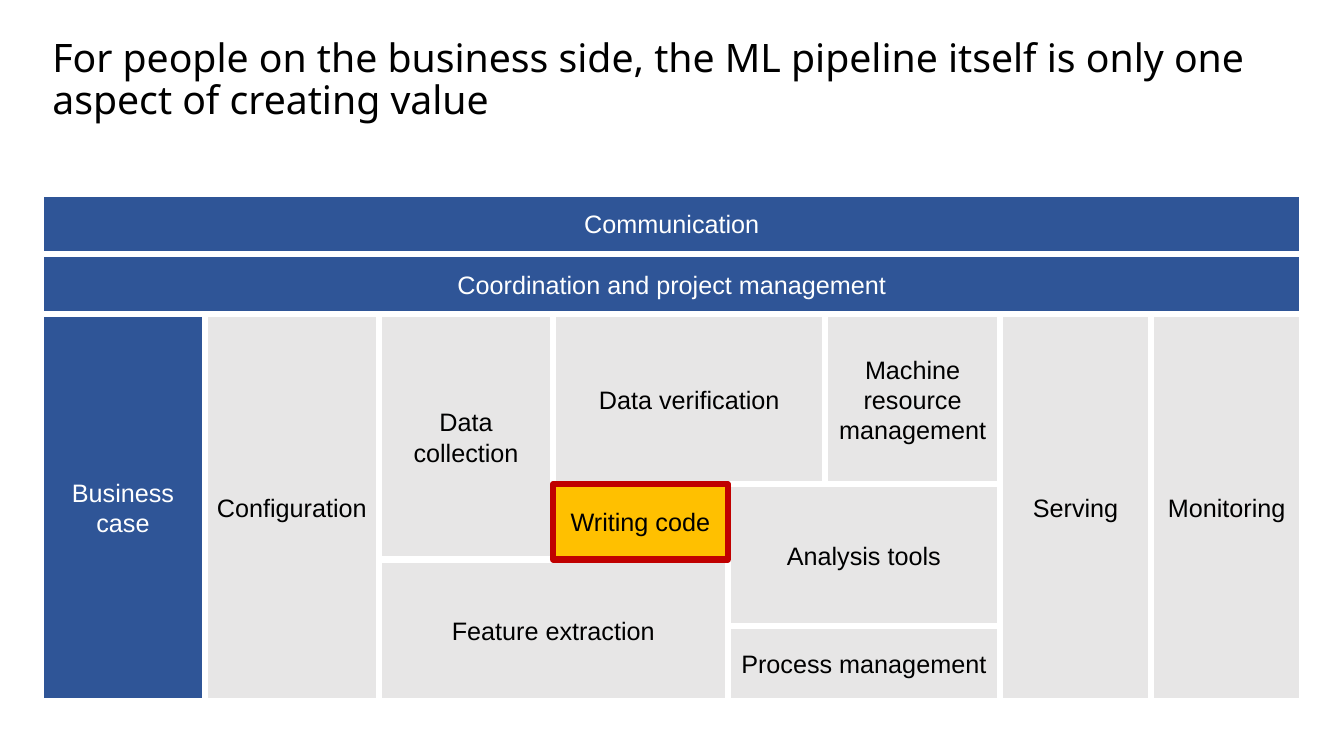
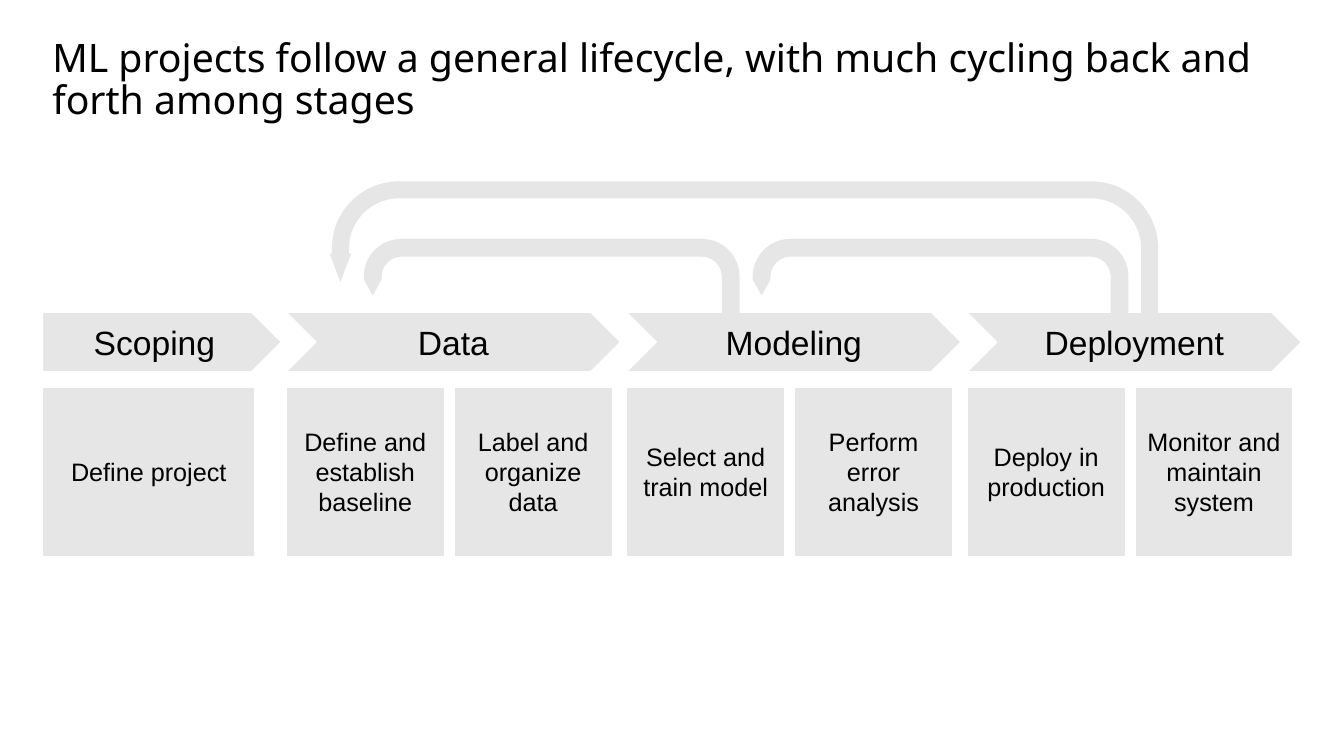
from pptx import Presentation
from pptx.dml.color import RGBColor
from pptx.enum.shapes import MSO_SHAPE as SHAPE
from pptx.enum.text import MSO_ANCHOR as ANCHOR, MSO_AUTO_SIZE as FIT, PP_ALIGN as ALIGN
from pptx.util import Cm, Pt

GREY, BLUE, GOLD, RED = "E7E6E6", "2F5597", "FFC000", "C00000"
WHITE, BLACK = "FFFFFF", "000000"
rgb = RGBColor.from_string

prs = Presentation()
prs.slide_width, prs.slide_height = Cm(33.87), Cm(19.05)


def add_slide(title):
    s = prs.slides.add_slide(prs.slide_layouts[6])
    tf = s.shapes.add_textbox(Cm(1.07), Cm(0.84), Cm(31.75), Cm(2.54)).text_frame
    tf.word_wrap = True
    tf.auto_size = FIT.TEXT_TO_FIT_SHAPE
    p = tf.paragraphs[0]
    p.text = title
    p.line_spacing = 0.9
    p.font.name, p.font.size = "Noto Sans", Pt(28)
    p.font.color.rgb = rgb(BLACK)
    return s


def add_block(s, kind, x, y, w, h, text="", fill=GREY, line=WHITE, weight=1, size=18):
    sp = s.shapes.add_shape(kind, Cm(x), Cm(y), Cm(w), Cm(h))
    sp.shadow.inherit = False
    sp.fill.solid()
    sp.fill.fore_color.rgb = rgb(fill)
    if line:
        sp.line.color.rgb = rgb(line)
        sp.line.width = Pt(weight)
    else:
        sp.line.fill.background()
    if text:
        tf = sp.text_frame
        tf.word_wrap = True
        tf.vertical_anchor = ANCHOR.MIDDLE
        p = tf.paragraphs[0]
        p.text = text
        p.alignment = ALIGN.CENTER
        p.font.name, p.font.size = "Arial", Pt(size)
        p.font.color.rgb = rgb(WHITE if fill == BLUE else BLACK)
    return sp


s = add_slide("For people on the business side, the ML pipeline itself is only one "
              "aspect of creating value")
cols = [1.04, 5.16, 9.55, 13.94, 18.34, 20.8, 25.2, 29.01, 32.82]
rows = [4.88, 6.4, 7.92, 12.2, 14.1, 15.77, 17.66]
blocks = [
    ("Analysis tools", 4, 6, 3, 5, GREY, WHITE),
    ("Configuration", 1, 2, 2, 6, GREY, WHITE),
    ("Data collection", 2, 3, 2, 4, GREY, WHITE),
    ("Feature extraction", 2, 4, 4, 6, GREY, WHITE),
    ("Data verification", 3, 5, 2, 3, GREY, WHITE),
    ("Writing code", 3, 4, 3, 4, GOLD, RED),
    ("Machine resource management", 5, 6, 2, 3, GREY, WHITE),
    ("Process management", 4, 6, 5, 6, GREY, WHITE),
    ("Serving", 6, 7, 2, 6, GREY, WHITE),
    ("Monitoring", 7, 8, 2, 6, GREY, WHITE),
    ("Business case", 0, 1, 2, 6, BLUE, WHITE),
    ("Communication", 0, 8, 0, 1, BLUE, WHITE),
    ("Coordination and project management", 0, 8, 1, 2, BLUE, WHITE),
]
for text, left, right, top, bottom, fill, line in blocks:
    x, y = cols[left], rows[top]
    add_block(s, SHAPE.RECTANGLE, x, y, cols[right] - x, rows[bottom] - y,
              text, fill, line, 4.5)

s = add_slide("ML projects follow a general lifecycle, with much cycling back and "
              "forth among stages")
stage_y, stage_h, task_y, task_h = 7.87, 1.5, 9.75, 4.27
add_block(s, SHAPE.PENTAGON, 1.07, stage_y, 6.02, stage_h, "Scoping", size=24)
add_block(s, SHAPE.RECTANGLE, 1.07, task_y, 5.36, task_h, "Define project")
stages = [
    ("Data", "Define and establish baseline", "Label and organize data"),
    ("Modeling", "Select and train model", "Perform error analysis"),
    ("Deployment", "Deploy in production", "Monitor and maintain system"),
]
for i, (stage, *tasks) in enumerate(stages):
    x = 7.21 + 8.58 * i
    add_block(s, SHAPE.CHEVRON, x, stage_y, 8.43, stage_h, stage, size=24)
    for j, task in enumerate(tasks):
        add_block(s, SHAPE.RECTANGLE, x + 4.23 * j, task_y, 3.99, task_h, task)

loops = [
    (9.17, 6.02, 9.47, 1.9, 0.25, 0.118),
    (8.31, 4.57, 20.88, 3.38, 0.127, 0.08),
    (18.97, 6.02, 9.47, 1.9, 0.25, 0.118),
]
for x, y, w, h, thickness, head in loops:
    sp = add_block(s, SHAPE.U_TURN_ARROW, x, y, w, h, line=None)
    for i, value in enumerate([thickness, head, 0.21, 0.5, 0.75]):
        sp.adjustments[i] = value
    sp.element.spPr.get_or_add_xfrm().set("flipH", "1")

prs.save("out.pptx")
